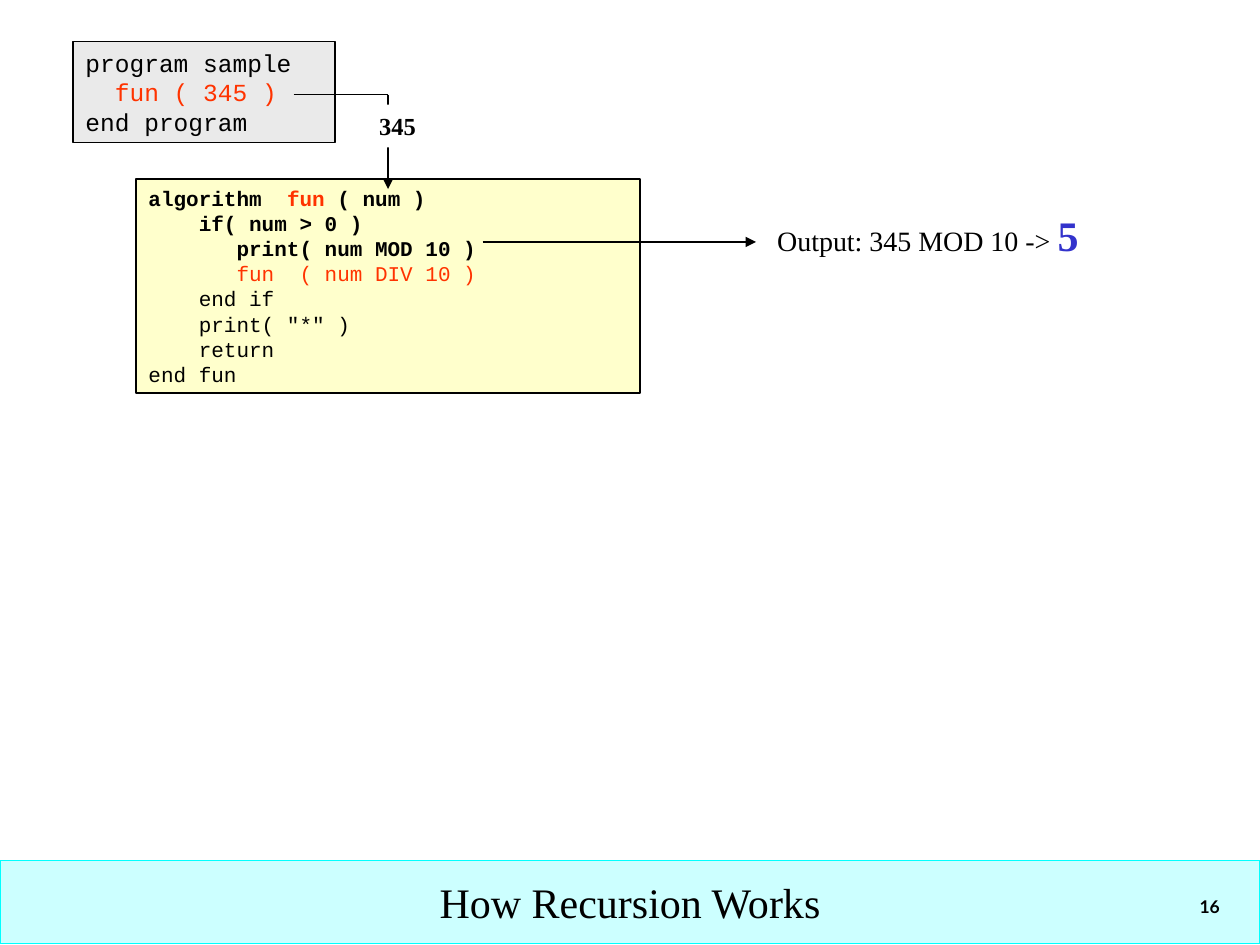
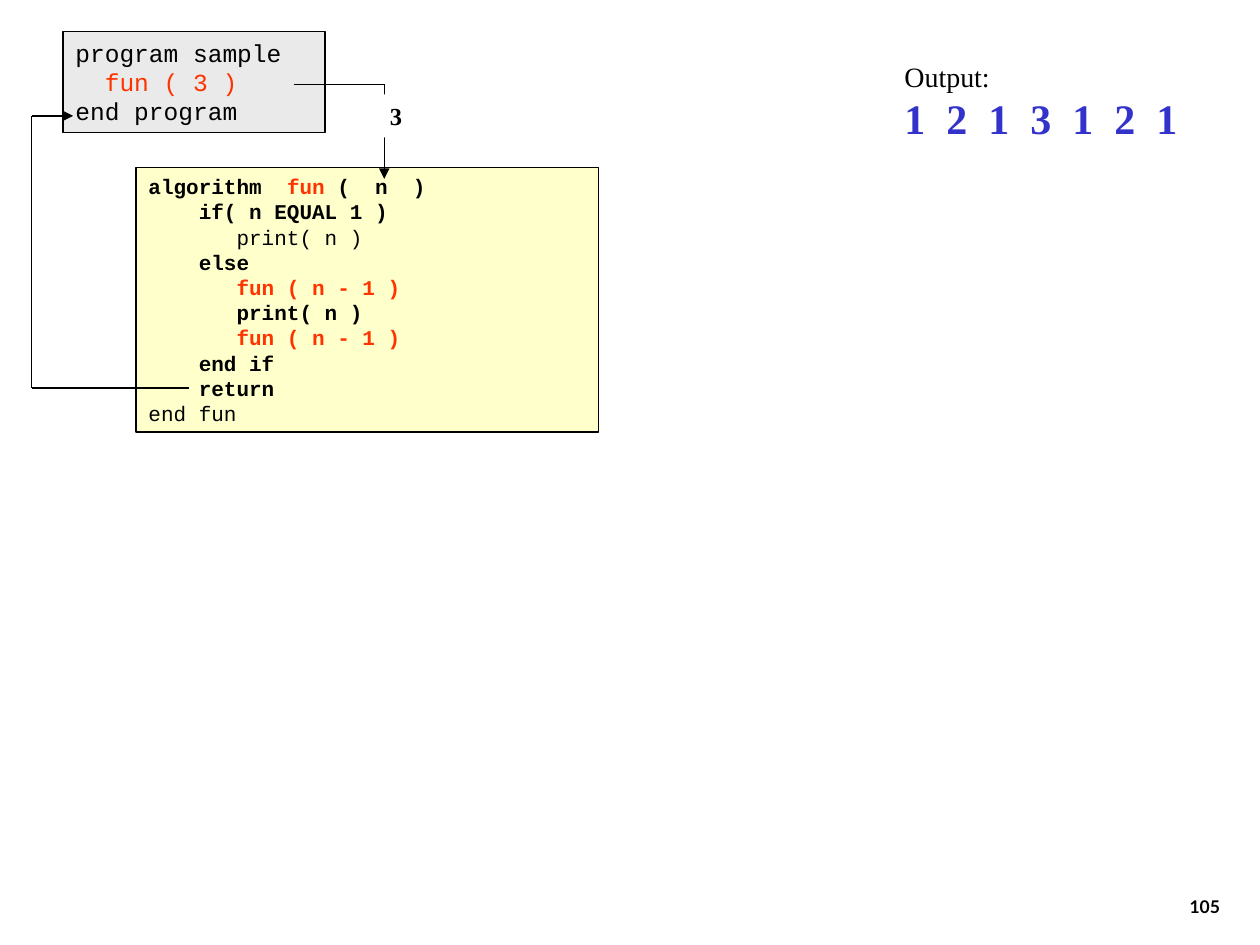
from pptx import Presentation
from pptx.dml.color import RGBColor
from pptx.enum.shapes import MSO_CONNECTOR, MSO_SHAPE
from pptx.enum.text import MSO_ANCHOR, MSO_AUTO_SIZE, PP_ALIGN
from pptx.oxml.ns import qn
from pptx.util import Inches, Pt
from lxml.etree import SubElement

BLACK = RGBColor(0x00, 0x00, 0x00)
WHITE = RGBColor(0xFF, 0xFF, 0xFF)
RED = RGBColor(0xFF, 0x33, 0x00)
BLUE = RGBColor(0x33, 0x33, 0xCC)
GREY = RGBColor(0xEA, 0xEA, 0xEA)
CREAM = RGBColor(0xFF, 0xFF, 0xCC)
PALE_CYAN = RGBColor(0xCC, 0xFF, 0xFF)
CYAN = RGBColor(0x00, 0xFF, 0xFF)
CODE_FONT = "Courier New"
TEXT_FONT = "Times New Roman"
NUMBER_FONT = "Lato"
LINE_WIDTH = Pt(0.75)


def add_box(page, place, lines, font, size, fill=None, outlined=False,
            align=PP_ALIGN.LEFT, anchor=MSO_ANCHOR.TOP):
    """Add a rectangle, or a text box if it has no fill; lines hold (text, colour, bold) spans."""
    lengths = [Inches(length) for length in place]
    if fill is None:
        box = page.shapes.add_textbox(*lengths)
    else:
        box = page.shapes.add_shape(MSO_SHAPE.RECTANGLE, *lengths)
        box.shadow.inherit = False
        box.fill.solid()
        box.fill.fore_color.rgb = fill
        if outlined:
            box.line.color.rgb = BLACK
            box.line.width = LINE_WIDTH
        else:
            box.line.fill.background()
    frame = box.text_frame
    frame.word_wrap = True
    frame.vertical_anchor = anchor
    for index, line in enumerate(lines):
        para = frame.add_paragraph() if index else frame.paragraphs[0]
        para.alignment = align
        para.font.name = font
        para.font.size = Pt(size)
        for text, colour, bold in line:
            span = para.add_run()
            span.text = text
            span.font.color.rgb = colour
            span.font.bold = bold
    return box


def add_route(page, points):
    """Join the points with straight lines and end with an arrowhead."""
    for start, end in zip(points, points[1:]):
        line = page.shapes.add_connector(
            MSO_CONNECTOR.STRAIGHT, *[Inches(length) for length in start + end])
        line.line.color.rgb = BLACK
        line.line.width = LINE_WIDTH
        SubElement(line._element.spPr, qn("a:effectLst"))
    SubElement(line.line._get_or_add_ln(), qn("a:tailEnd"), type="triangle")


deck = Presentation()
deck.slide_width = Inches(10)
deck.slide_height = Inches(7.5)
title_page = deck.slides.add_slide(deck.slide_layouts[5])
final_page = deck.slides.add_slide(deck.slide_layouts[6])

# Algorithms
digits_code = [
    [("algorithm  ", BLACK, True), ("fun ", RED, True), ("( num )", BLACK, True)],
    [("    if( num > 0 )", BLACK, True)],
    [("       print( num MOD 10 )", BLACK, True)],
    [("       fun  ( num DIV 10 )", RED, False)],
    [("    end if", BLACK, False)],
    [('    print( "*" )', BLACK, False)],
    [("    return", BLACK, False)],
    [("end fun", BLACK, False)],
]
double_code = [
    [("algorithm  ", BLACK, True), ("fun ", RED, True), ("(  n  )", BLACK, True)],
    [("    if( n EQUAL 1 )", BLACK, True)],
    [("       print( n )", BLACK, False)],
    [("    else", BLACK, True)],
    [("       fun ( n - 1 )", RED, True)],
    [("       print( n )", BLACK, True)],
    [("       fun ( n - 1 )", RED, True)],
    [("    end if", BLACK, True)],
    [("    return", BLACK, True)],
    [("end fun", BLACK, False)],
]

# Title band
title = title_page.shapes.title
title.left, title.top, title.width, title.height = [
    Inches(length) for length in (0, 6.83, 10, 0.66)]
title.fill.solid()
title.fill.fore_color.rgb = PALE_CYAN
title.line.color.rgb = CYAN
title.line.width = LINE_WIDTH
title.text_frame.text = "How Recursion Works"
title.text_frame.auto_size = MSO_AUTO_SIZE.NONE
title.text_frame.vertical_anchor = MSO_ANCHOR.MIDDLE
title_para = title.text_frame.paragraphs[0]
title_para.alignment = PP_ALIGN.CENTER
title_para.font.name = TEXT_FONT
title_para.font.size = Pt(24)
title_para.font.color.rgb = BLACK

# Calling program, passed argument, algorithm and page number
calls = [
    (title_page, "345", "16", digits_code, (1.08, 1.42, 4, 1.7),
     (0.58, 0.33), 3.08, (2.91, 0.49)),
    (final_page, "3", "105", double_code, (1.08, 1.33, 3.67, 2.1),
     (0.5, 0.25), 3.05, (2.9, 0.39)),
]
for page, argument, number, code, code_place, corner, drop, label in calls:
    left, top = corner
    label_left, label_width = label
    program = [
        [("program sample", BLACK, False)],
        [(f"  fun ( {argument} )", RED, False)],
        [("end program", BLACK, False)],
    ]
    add_box(page, code_place, code, CODE_FONT, 12, CREAM, outlined=True)
    add_box(page, (left, top, 2.08, 0.8), program, CODE_FONT, 14, GREY, outlined=True)
    add_route(page, [(2.33, top + 0.42), (drop, top + 0.42), (drop, top + 1.17)])
    argument_box = add_box(page, (label_left, top + 0.5, label_width, 0.34),
                           [[(argument, BLACK, True)]], TEXT_FONT, 14, WHITE,
                           align=PP_ALIGN.RIGHT)
    argument_box.text_frame.margin_left = 0
    add_box(page, (7.7, 6.83, 2.08, 0.5), [[(number, BLACK, True)]], NUMBER_FONT, 10,
            align=PP_ALIGN.RIGHT, anchor=MSO_ANCHOR.BOTTOM)

# First output
add_route(title_page, [(3.83, 1.92), (6, 1.92)])
digit_box = add_box(title_page, (6.07, 1.61, 2.65, 0.5),
                    [[("Output: 345 MOD 10 -> ", BLACK, False), ("5", BLUE, True)]],
                    TEXT_FONT, 16)
digit_box.text_frame.paragraphs[0].runs[1].font.size = Pt(24)

# Return to the program and complete output
add_route(final_page, [(1.5, 3.08), (0.25, 3.08), (0.25, 0.92), (0.58, 0.92)])
printed = "1213121"
output_box = add_box(final_page, (7.08, 0.42, 2.42, 0.77),
                     [[("Output:", BLACK, False)], [("\t".join(printed), BLUE, True)]],
                     TEXT_FONT, 16)
printed_para = output_box.text_frame.paragraphs[1]
properties = printed_para._p.get_or_add_pPr()
tabs = SubElement(properties, qn("a:tabLst"))
properties.insert(0, tabs)
for stop in range(1, len(printed)):
    SubElement(tabs, qn("a:tab"), pos=str(Inches(stop / 3)), algn="l")
printed_para.font.size = Pt(24)

deck.save("out.pptx")
